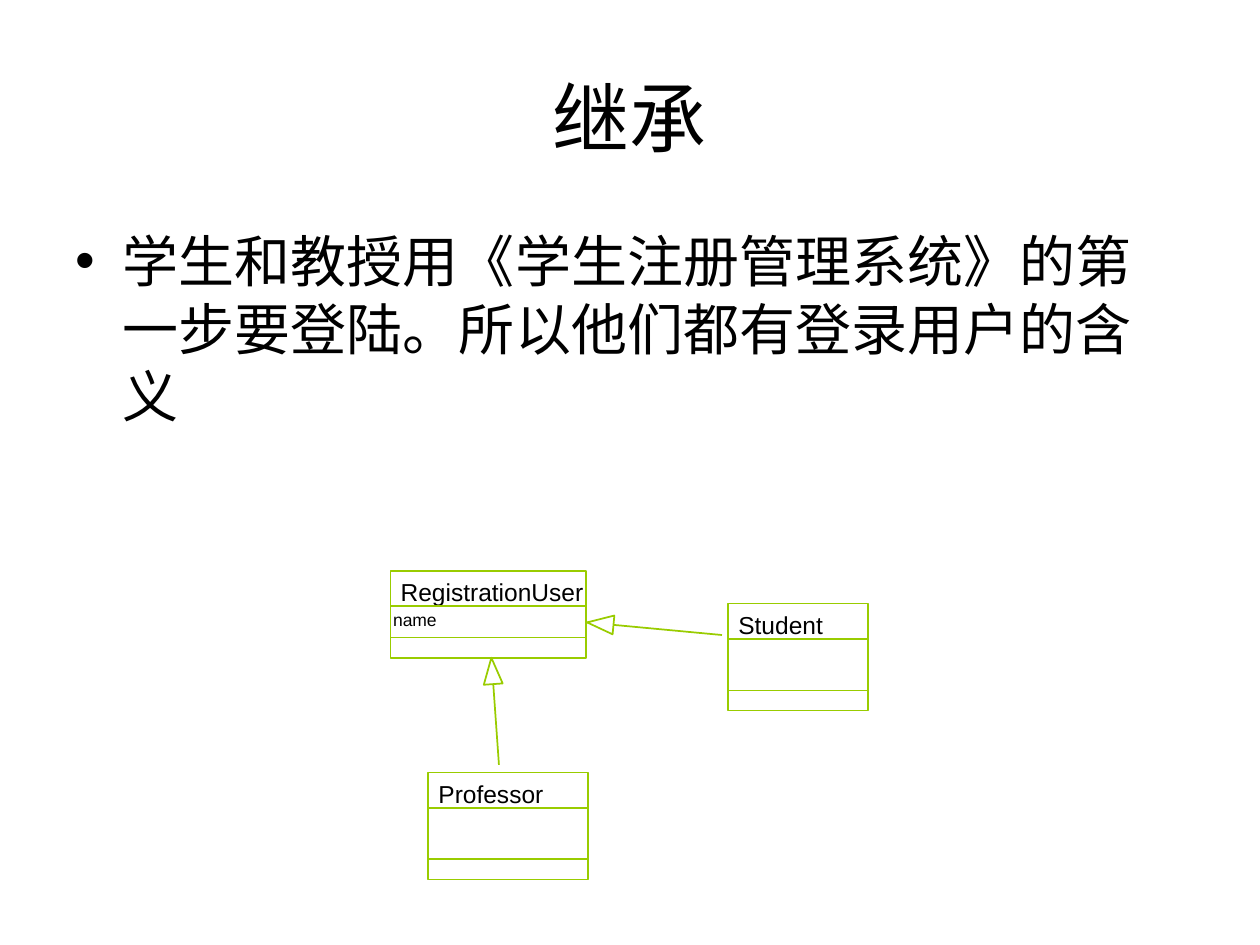
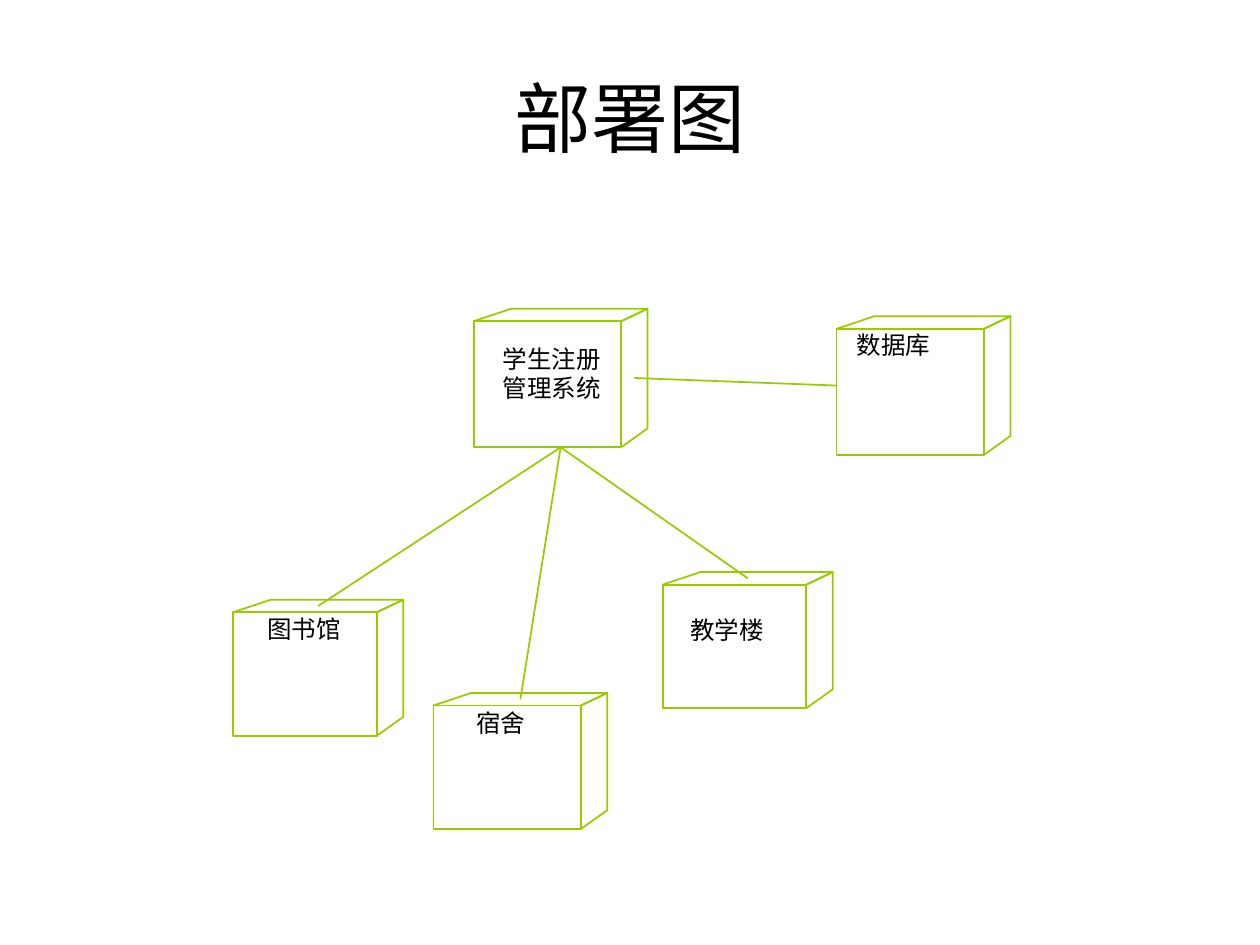
"""Build two slides on class inheritance and system deployment."""
from math import hypot

from lxml import etree
from pptx import Presentation
from pptx.dml.color import RGBColor
from pptx.enum.shapes import MSO_CONNECTOR, MSO_SHAPE
from pptx.enum.text import MSO_ANCHOR, MSO_AUTO_SIZE, PP_ALIGN
from pptx.oxml.ns import qn
from pptx.util import Inches, Pt

LINE = MSO_CONNECTOR.STRAIGHT
RECT = MSO_SHAPE.RECTANGLE
MID = MSO_ANCHOR.MIDDLE
CENTER = PP_ALIGN.CENTER
GROW = MSO_AUTO_SIZE.SHAPE_TO_FIT_TEXT

FONT, BLACK, WHITE, GREEN = "Arial", "000000", "FFFFFF", "99CC00"
TITLE_BOX = (0.5, 0.3, 9, 1.25)
BODY_BOX = (0.5, 1.75, 9, 4.95)

HEIR_TITLE = "继承"
HEIR_TEXT = "学生和教授用《学生注册管理系统》的第一步要登陆。所以他们都有登录用户的含义"
CLASSES = [
    ("Student", (5.78, 4.79, 1.11, 0.85), 0.68),
    ("Professor", (3.4, 6.13, 1.27, 0.85), 0.84),
    ("RegistrationUser", (3.1, 4.53, 1.55, 0.69), 1.46),
]
FIELD = ("name", (3.12, 4.83, 0.36, 0.17))
ARROWS = [((3.96, 6.07), (3.9, 5.22)), ((5.73, 5.04), (4.66, 4.94))]
HEAD_ROW, FOOT_ROW = 0.28, 0.16
TIP_LEN, TIP_HALF = 0.21, 0.075

DEPLOY_TITLE = "部署图"
HUB = ("学生注册\v管理系统", (3.76, 2.45, 1.38, 1.1), (3.99, 2.73, 0.78, 0.45))
STORE = ("数据库", (6.64, 2.51, 1.38, 1.1), (6.8, 2.62, 0.59, 0.23))
SITES = [
    ("图书馆", (1.85, 4.76, 1.35, 1.08), (2.12, 4.87, 0.59, 0.23)),
    ("宿舍", (3.44, 5.5, 1.38, 1.08), (3.78, 5.62, 0.39, 0.23)),
    ("教学楼", (5.26, 4.54, 1.35, 1.08), (5.48, 4.88, 0.59, 0.23)),
]
DEPTH, RISE, SLANT, DROP = 0.21, 0.1, 0.3, 0.15


def color(code):
    return RGBColor.from_string(code)


def inches(nums):
    return [Inches(n) for n in nums]


def style(frame, size):
    for para in frame.paragraphs:
        for run in para.runs:
            run.font.name = FONT
            run.font.size = Pt(size)
            run.font.color.rgb = color(BLACK)


def place(holder, text, box, size):
    holder.left, holder.top, holder.width, holder.height = inches(box)
    holder.text_frame.text = text
    style(holder.text_frame, size)


def new_slide(deck, layout, title):
    slide = deck.slides.add_slide(deck.slide_layouts[layout])
    head = slide.shapes.title
    place(head, title, TITLE_BOX, 44)
    head.text_frame.vertical_anchor = MID
    head.text_frame.paragraphs[0].alignment = CENTER
    return slide


def paint(shape, fill=None):
    shape.shadow.inherit = False
    if fill:
        shape.fill.solid()
        shape.fill.fore_color.rgb = color(fill)
    else:
        shape.fill.background()
    shape.line.color.rgb = color(GREEN)
    shape.line.width = Pt(1)


def add_rect(slide, box):
    paint(slide.shapes.add_shape(RECT, *inches(box)))


def add_path(slide, points, close=False, fill=None):
    spots = [inches(p) for p in points]
    maker = slide.shapes.build_freeform(*spots[0])
    maker.add_line_segments(spots[1:], close=close)
    paint(maker.convert_to_shape(), fill)


def add_line(slide, start, end):
    line = slide.shapes.add_connector(LINE, *inches(start + end))
    line.line.color.rgb = color(GREEN)
    line.line.width = Pt(1)
    etree.SubElement(line._element.spPr, qn("a:effectLst"))


def add_label(slide, text, box, size=14):
    frame = slide.shapes.add_textbox(*inches(box)).text_frame
    frame.margin_left = frame.margin_top = 0
    frame.margin_right = frame.margin_bottom = 0
    frame.word_wrap = False
    frame.auto_size = GROW
    frame.text = text
    style(frame, size)


def add_class(slide, name, box, wide):
    left, top, width, height = box
    add_rect(slide, box)
    add_label(slide, name, (left + 0.08, top + 0.05, wide, 0.23))
    for y in (top + HEAD_ROW, top + height - FOOT_ROW):
        add_line(slide, (left, y), (left + width, y))


def add_arrow(slide, tail, tip):
    dx, dy = tail[0] - tip[0], tail[1] - tip[1]
    size = hypot(dx, dy)
    ux, uy = dx / size, dy / size
    x, y = tip[0] + TIP_LEN * ux, tip[1] + TIP_LEN * uy
    sides = [(x - s * uy, y + s * ux) for s in (TIP_HALF, -TIP_HALF)]
    add_line(slide, tail, tip)
    add_path(slide, [tip] + sides, close=True, fill=WHITE)


def add_cube(slide, text, box, label):
    left, top, width, height = box
    right, base = left + width, top + height
    edge, front = right - DEPTH, top + RISE
    add_rect(slide, (left, front, width - DEPTH, height - RISE))
    add_path(slide, [(left, front), (left + SLANT, top), (right, top), (edge, front)])
    add_path(slide, [(edge, front), (right, top), (right, base - DROP), (edge, base)])
    add_label(slide, text, label)


def build_heirs(deck):
    slide = new_slide(deck, 1, HEIR_TITLE)
    place(slide.placeholders[1], HEIR_TEXT, BODY_BOX, 32)
    for item in CLASSES:
        add_class(slide, *item)
    add_label(slide, *FIELD, size=10)
    for tail, tip in ARROWS:
        add_arrow(slide, tail, tip)


def build_deploy(deck):
    slide = new_slide(deck, 5, DEPLOY_TITLE)
    for node in [HUB, STORE] + SITES:
        add_cube(slide, *node)
    left, top, width, height = HUB[1]
    foot = (left + width / 2, top + height)
    for _, (x, y, wide, _), _ in SITES:
        add_line(slide, foot, (x + wide / 2, y + RISE / 2))
    x, y, _, tall = STORE[1]
    side = (left + width - DEPTH / 2, top + height / 2)
    add_line(slide, side, (x, y + tall / 2))


def main():
    deck = Presentation()
    deck.slide_width, deck.slide_height = inches((10, 7.5))
    build_heirs(deck)
    build_deploy(deck)
    deck.save("out.pptx")


if __name__ == "__main__":
    main()
